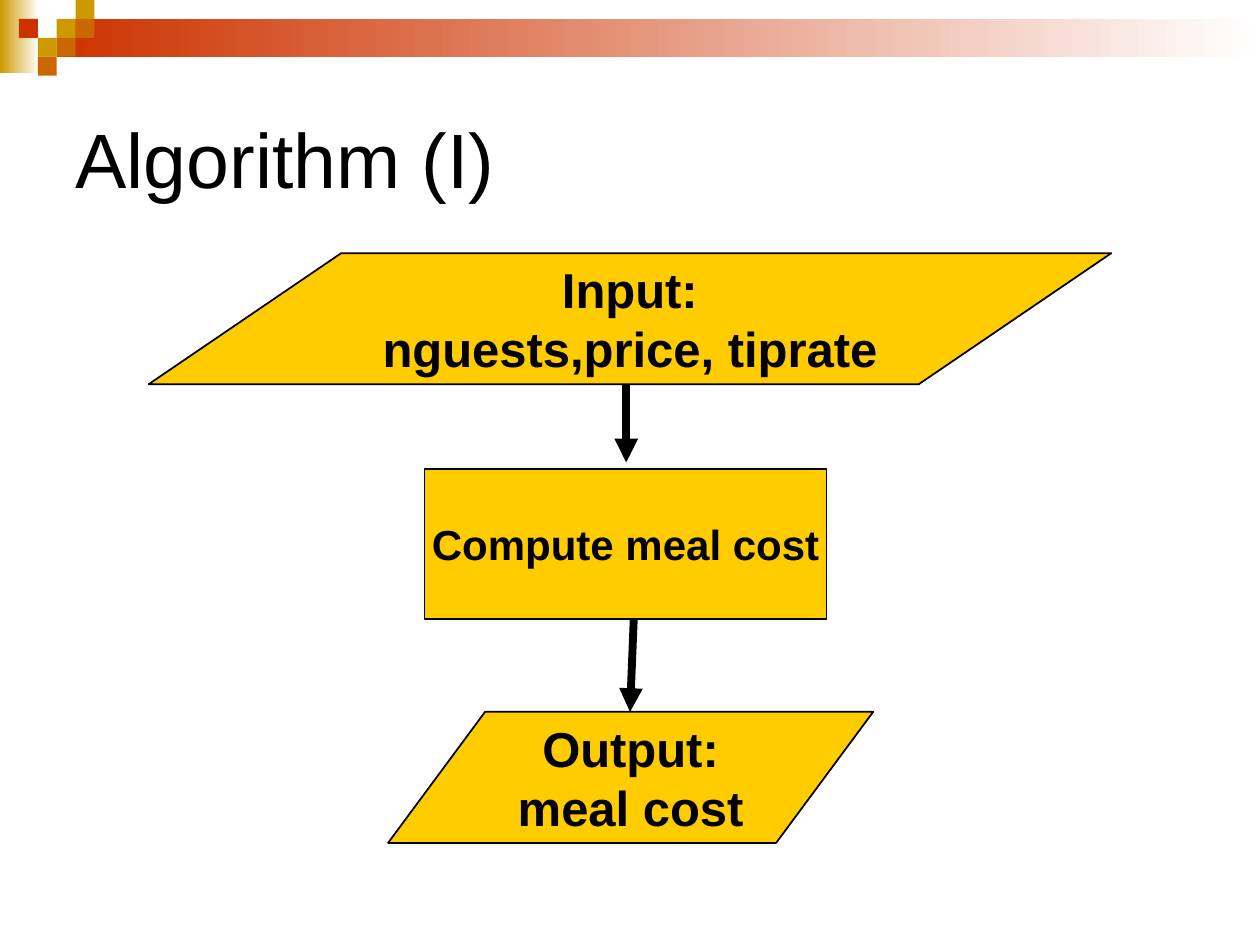
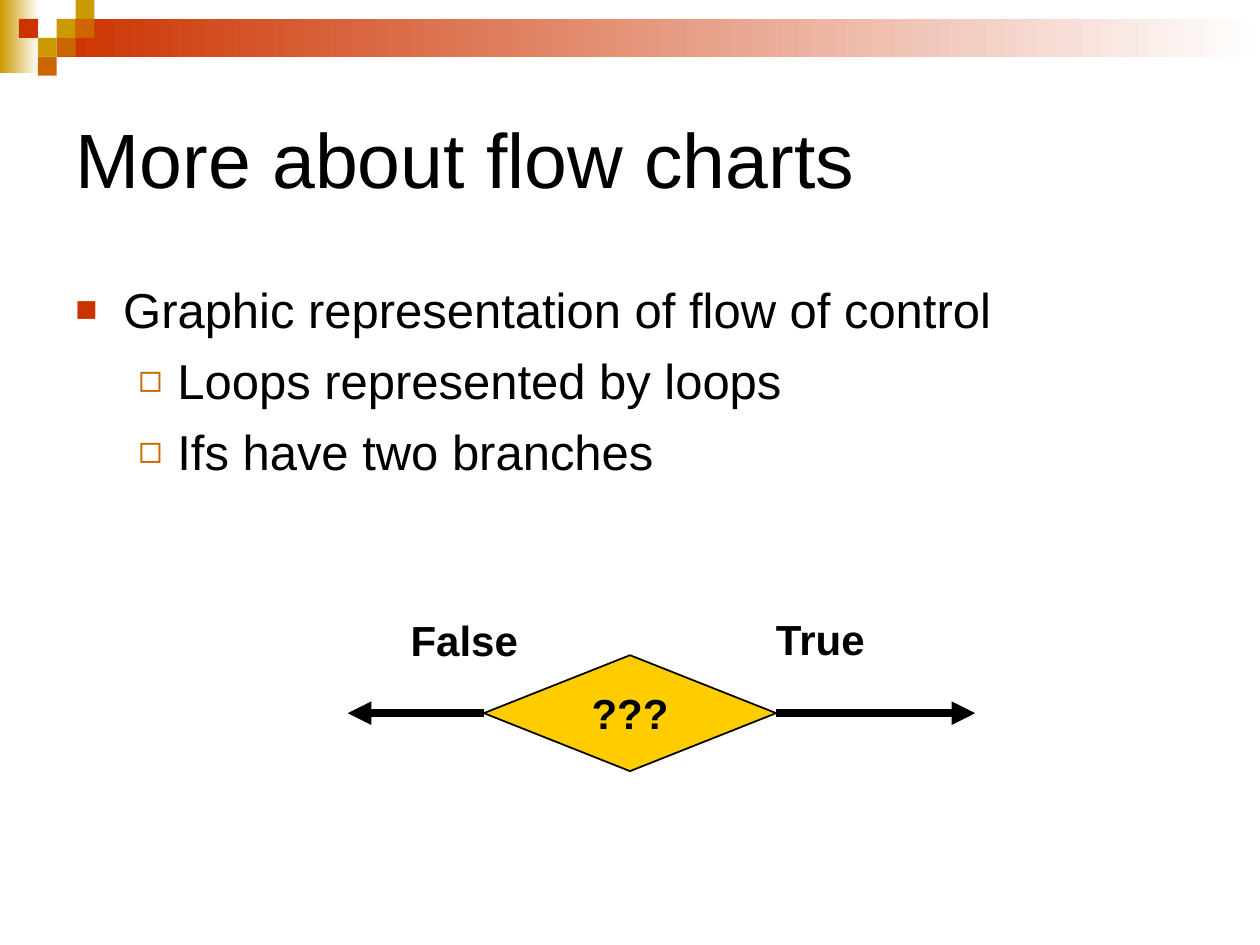
"""Build two slides on flow charts for a meal cost algorithm."""
from dataclasses import dataclass

import lxml.etree
import pptx
import pptx.dml.color
import pptx.enum.shapes
import pptx.enum.text
import pptx.oxml.ns
import pptx.util

Inches = pptx.util.Inches
Pt = pptx.util.Pt
RGB = pptx.dml.color.RGBColor.from_string
qn = pptx.oxml.ns.qn
Kind = pptx.enum.shapes.MSO_SHAPE
Align = pptx.enum.text.PP_ALIGN
Anchor = pptx.enum.text.MSO_ANCHOR


@dataclass(frozen=True)
class Theme:
    """Colours, font and sizes shared by the slides."""
    font: str = "Arial"
    ink: str = "000000"
    paper: str = "FFFFFF"
    box: str = "FFCC00"
    gold: str = "CC9900"
    red: str = "CC3300"
    orange: str = "CC6600"
    title_size: int = 44
    body_size: int = 28
    label_size: int = 24
    outline: float = 1
    arrow: float = 4.5


@dataclass(frozen=True)
class Bullet:
    """Look of one outline level."""
    mark: str
    color: str
    percent: int
    indent: float
    hang: float


def add_xml(parent, tag, **attributes):
    """Append an element with the given attributes and return it."""
    return lxml.etree.SubElement(parent, qn(tag), attributes)


def write(paragraph, text, *, theme, size, bold=False, align=Align.LEFT, bullet=None, before=0):
    """Write text into a paragraph in the given format."""
    if bullet:
        props = paragraph._p.get_or_add_pPr()
        props.set("marL", str(Inches(bullet.indent)))
        props.set("indent", str(-Inches(bullet.hang)))
        add_xml(add_xml(props, "a:buClr"), "a:srgbClr", val=bullet.color)
        add_xml(props, "a:buSzPct", val=str(bullet.percent * 1000))
        add_xml(props, "a:buFont", typeface=theme.font)
        add_xml(props, "a:buChar", char=bullet.mark)
    paragraph.alignment = align
    if before:
        paragraph.space_before = Pt(before)
    run = paragraph.add_run()
    run.text = text
    run.font.name = theme.font
    run.font.size = Pt(size)
    run.font.bold = bold
    run.font.color.rgb = RGB(theme.ink)


class Deck:
    """Hold the theme and the current slide, and add elements to it."""

    def __init__(self, theme):
        """Start an empty deck."""
        self.theme = theme
        self.file = pptx.Presentation()
        self.file.slide_width = Inches(10)
        self.file.slide_height = Inches(7.5)
        self.slide = None

    def start(self, title):
        """Begin a slide with its corner decoration and title."""
        self.slide = self.file.slides.add_slide(self.file.slide_layouts[5])
        self.decorate()
        heading = self.slide.shapes.title
        heading.left, heading.top, heading.width, heading.height = map(Inches, (0.5, 0.5, 9, 1.5))
        frame = heading.text_frame
        frame.auto_size = pptx.enum.text.MSO_AUTO_SIZE.NONE
        frame.vertical_anchor = Anchor.MIDDLE
        write(frame.paragraphs[0], title, theme=self.theme, size=self.theme.title_size)

    def block(self, kind, place, color, fade=False):
        """Add a preset shape without outline, plain or fading to paper."""
        shape = self.slide.shapes.add_shape(kind, *map(Inches, place))
        shape.shadow.inherit = False
        shape.line.fill.background()
        if fade:
            shape.fill.gradient()
            shape.fill.gradient_angle = 0
            for stop, tone in zip(shape.fill.gradient_stops, (color, self.theme.paper)):
                stop.color.rgb = RGB(tone)
        else:
            shape.fill.solid()
            shape.fill.fore_color.rgb = RGB(color)
        return shape

    def decorate(self):
        """Draw the fading bands and the corner mosaic."""
        theme = self.theme
        self.block(Kind.RECTANGLE, (0, 0, 0.31, 0.58), theme.gold, fade=True)
        self.block(Kind.RECTANGLE, (0.45, 0.15, 9.55, 0.3), theme.red, fade=True)
        tile = 0.15
        mosaic = [(3, 1, theme.gold), (4, 0, theme.gold), (4, 1, theme.orange),
                  (2, 2, theme.gold), (1, 1, theme.red), (3, 2, theme.orange),
                  (2, 3, theme.orange)]
        for column, row, color in mosaic:
            self.block(Kind.RECTANGLE, (column * tile, row * tile, tile, tile), color)

    def step(self, kind, place, lines, size, wrap=True):
        """Add an outlined flow chart step with centred bold text."""
        shape = self.block(kind, place, self.theme.box)
        shape.line.color.rgb = RGB(self.theme.ink)
        shape.line.width = Pt(self.theme.outline)
        self.fill_text(shape.text_frame, lines, wrap, Anchor.MIDDLE,
                       size=size, bold=True, align=Align.CENTER)
        return shape

    def fill_text(self, frame, lines, wrap, anchor, **style):
        """Write one paragraph per line into a text frame."""
        frame.word_wrap = wrap
        frame.vertical_anchor = anchor
        for index, line in enumerate(lines):
            paragraph = frame.add_paragraph() if index else frame.paragraphs[0]
            write(paragraph, line, theme=self.theme, **style)

    def label(self, place, text):
        """Add a bold branch label."""
        frame = self.slide.shapes.add_textbox(*map(Inches, place)).text_frame
        self.fill_text(frame, [text], False, Anchor.TOP, size=self.theme.label_size, bold=True)

    def outline(self, place, items, bullets):
        """Add a bulleted list of (level, text) items."""
        frame = self.slide.shapes.add_textbox(*map(Inches, place)).text_frame
        frame.word_wrap = True
        for index, (level, text) in enumerate(items):
            paragraph = frame.add_paragraph() if index else frame.paragraphs[0]
            paragraph.level = level
            write(paragraph, text, theme=self.theme, size=self.theme.body_size,
                  bullet=bullets[level], before=7 if index else 0)

    def arrow(self, start, end, source=None, side=0):
        """Add a thick arrow, joined to a side of its source if given."""
        line = self.slide.shapes.add_connector(
            pptx.enum.shapes.MSO_CONNECTOR.STRAIGHT, *map(Inches, (*start, *end)))
        if source is not None:
            line.begin_connect(source, side)
        line.line.color.rgb = RGB(self.theme.ink)
        line.line.width = Pt(self.theme.arrow)
        add_xml(line.line._get_or_add_ln(), "a:tailEnd", type="triangle")
        add_xml(line._element.spPr, "a:effectLst")


def algorithm_slide(deck):
    """Show input, computation and output as a flow chart."""
    theme = deck.theme
    deck.start("Algorithm (I)")
    deck.step(Kind.FLOWCHART_PROCESS, (3.37, 3.72, 3.19, 1.19),
              ["Compute meal cost"], theme.label_size, wrap=False)
    deck.arrow((5.03, 4.91), (5, 5.65))
    deck.arrow((4.97, 2.93), (4.97, 3.67))
    deck.step(Kind.FLOWCHART_DATA, (1.18, 2.01, 7.64, 1.04),
              ["Input:", "nguests,price, tiprate"], theme.body_size)
    deck.step(Kind.FLOWCHART_DATA, (3.08, 5.65, 3.85, 1.04),
              ["Output: meal cost"], theme.body_size)


def branches_slide(deck):
    """Explain loops and branches, with a decision below."""
    theme = deck.theme
    deck.start("More about flow charts")
    bullets = [Bullet("■", theme.red, 75, 0.38, 0.38),
               Bullet("◻", theme.orange, 80, 0.81, 0.31)]
    deck.outline((0.5, 2.17, 9, 4.25),
                 [(0, "Graphic representation of flow of control"),
                  (1, "Loops represented by loops"),
                  (1, "Ifs have two branches")], bullets)
    decision = deck.step(Kind.FLOWCHART_DECISION, (3.84, 5.2, 2.32, 0.92),
                         ["???"], theme.label_size, wrap=False)
    middle = 5.66
    deck.arrow((6.16, middle), (7.74, middle), decision, side=3)
    deck.arrow((3.84, middle), (2.76, middle), decision, side=1)
    deck.label((3.16, 4.83, 1.05, 0.5), "False")
    deck.label((6.06, 4.82, 0.92, 0.5), "True")


def main():
    """Build and save the deck."""
    deck = Deck(Theme())
    algorithm_slide(deck)
    branches_slide(deck)
    deck.file.save("out.pptx")


if __name__ == "__main__":
    main()
